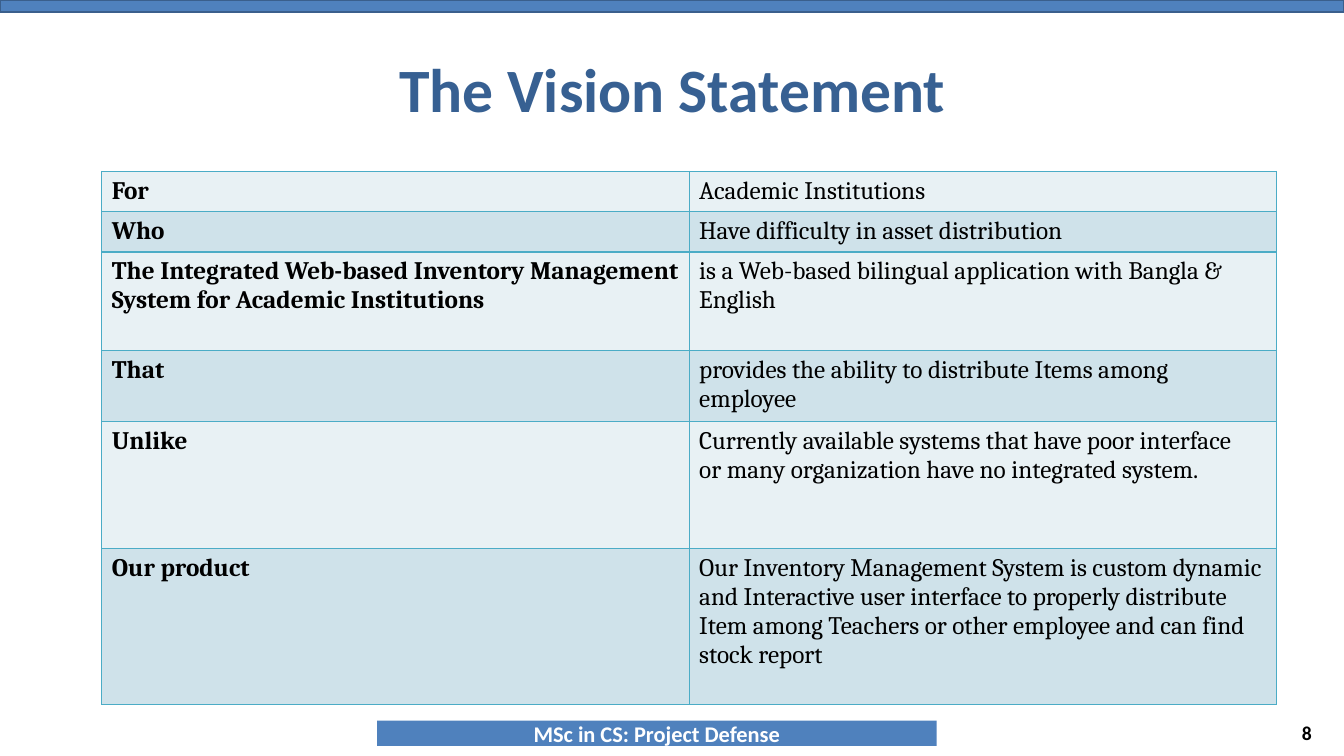
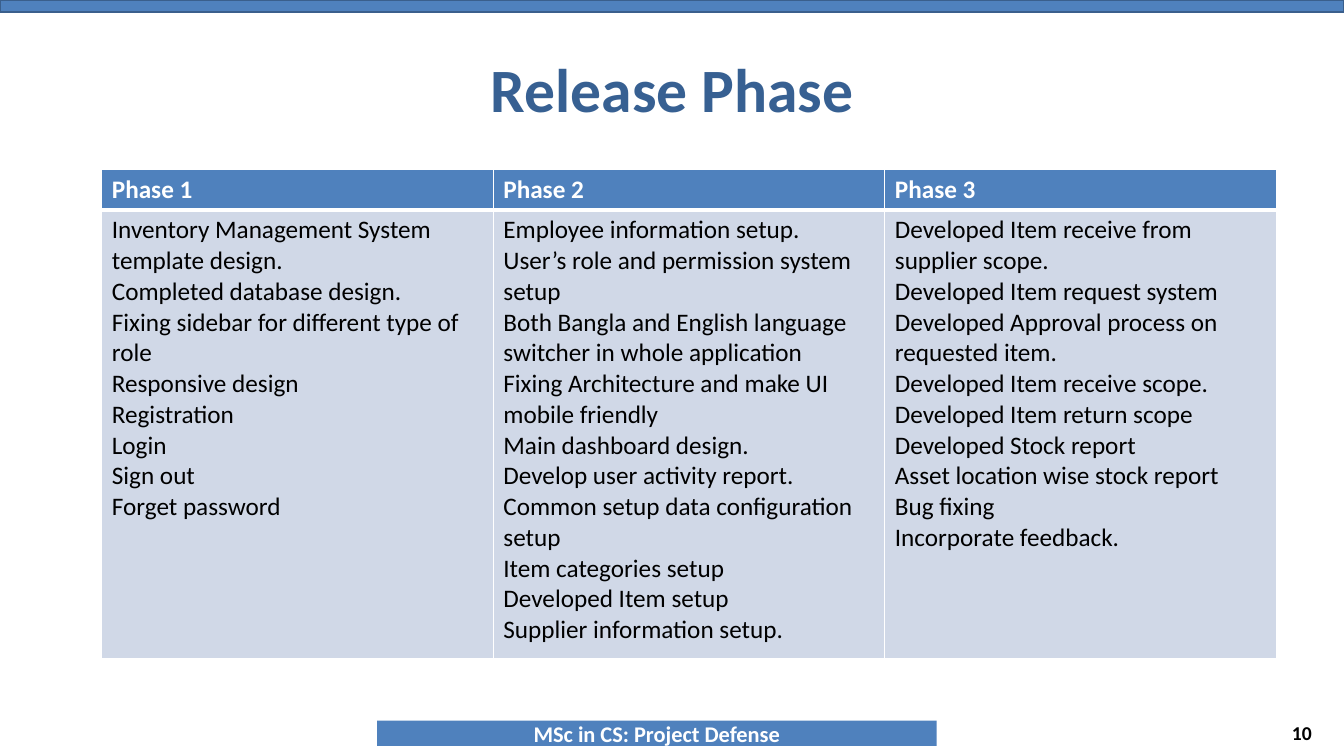
from pptx import Presentation
from pptx.dml.color import RGBColor
from pptx.enum.shapes import MSO_SHAPE as Shape
from pptx.enum.text import MSO_ANCHOR as Anchor, PP_ALIGN as Align
from pptx.oxml.ns import qn
from pptx.util import Inches, Pt
from lxml.etree import SubElement

COLORS = {
    "blue": "4F81BD",
    "blue_edge": "3A5F8C",
    "title": "376092",
    "teal_edge": "4BACC6",
    "teal_light": "E8F1F4",
    "teal_dark": "CFE2EA",
    "phase_body": "D0D8E7",
    "black": "000000",
    "white": "FFFFFF",
}
THIN, THICK = 0.96, 3

VISION = [
    (0.39, "For", ["Academic Institutions"]),
    (0.39, "Who", ["Have difficulty in asset distribution"]),
    (0.98, "The Integrated Web-based Inventory Management System for Academic Institutions",
     ["is a Web-based bilingual application with Bangla & English"]),
    (0.68, "That", ["provides the ability to distribute Items among employee"]),
    (1.26, "Unlike", ["Currently available systems that have poor interface",
                      "or many organization have no integrated system."]),
    (1.55, "Our product",
     ["Our Inventory Management System is custom dynamic and Interactive user interface "
      "to properly distribute Item among Teachers or other employee and can find stock report"]),
]

PHASES = {
    "Phase 1": [
        "Inventory Management System template design.",
        "Completed database design.",
        "Fixing sidebar for different type of role",
        "Responsive design",
        "Registration",
        "Login",
        "Sign out",
        "Forget password",
    ],
    "Phase 2": [
        "Employee information setup.",
        "User’s role and permission system setup",
        "Both Bangla and English language switcher in whole application",
        "Fixing Architecture and make UI mobile friendly",
        "Main dashboard design.",
        "Develop user activity report.",
        "Common setup data configuration setup",
        "Item categories setup",
        "Developed Item setup",
        "Supplier information setup.",
    ],
    "Phase 3": [
        "Developed Item receive from supplier scope.",
        "Developed Item request system",
        "Developed Approval process on requested item.",
        "Developed Item receive scope.",
        "Developed Item return scope",
        "Developed Stock report",
        "Asset location wise stock report",
        "Bug fixing",
        "Incorporate feedback.",
    ],
}


def rgb(name):
    return RGBColor.from_string(COLORS[name])


def write(frame, lines, size, color, bold=False, align=Align.LEFT, face="Calibri"):
    frame.word_wrap = True
    for index, line in enumerate(lines):
        para = frame.paragraphs[0] if index == 0 else frame.add_paragraph()
        para.text = line
        para.alignment = align
        para.font.size = Pt(size)
        para.font.name = face
        para.font.bold = bold
        para.font.color.rgb = rgb(color)


def add_band(page, box, edge=None):
    band = page.shapes.add_shape(Shape.RECTANGLE, *map(Inches, box))
    band.shadow.inherit = False
    band.fill.solid()
    band.fill.fore_color.rgb = rgb("blue")
    if edge:
        band.line.color.rgb = rgb(edge)
        band.line.width = Pt(2)
    else:
        band.line.fill.background()
    return band


def add_label(page, box, text, size, color, align):
    frame = page.shapes.add_textbox(*map(Inches, box)).text_frame
    frame.vertical_anchor = Anchor.MIDDLE
    write(frame, [text], size, color, True, align)


def add_page(deck, title, number):
    page = deck.slides.add_slide(deck.slide_layouts[6])
    add_band(page, (0, 0, 13.33, 0.12), "blue_edge")
    footer = add_band(page, (3.74, 7.15, 5.55, 0.25)).text_frame
    footer.vertical_anchor = Anchor.MIDDLE
    write(footer, ["MSc in CS: Project Defense"], 16, "white", True, Align.CENTER)
    add_label(page, (0.67, 0.25, 12, 1.25), title, 44, "title", Align.CENTER)
    add_label(page, (10, 7.07, 3.11, 0.4), str(number), 14, "black", Align.RIGHT)
    return page


def add_grid(page, box, heights, columns):
    table = page.shapes.add_table(len(heights), columns, *map(Inches, box)).table
    table.first_row = False
    table.horz_banding = False
    for column in table.columns:
        column.width = Inches(box[2] / columns)
    for row, height in zip(table.rows, heights):
        row.height = Inches(height)
    return table


def style_cell(cell, fill, edge, top=THIN, bottom=THIN):
    properties = cell._tc.get_or_add_tcPr()
    for side, width in zip("LRTB", (THIN, THIN, top, bottom)):
        line = SubElement(properties, qn(f"a:ln{side}"), w=str(Pt(width)))
        solid = SubElement(line, qn("a:solidFill"))
        SubElement(solid, qn("a:srgbClr"), val=COLORS[edge])
    cell.fill.solid()
    cell.fill.fore_color.rgb = rgb(fill)


def add_vision_table(page, box):
    table = add_grid(page, box, [height for height, _, _ in VISION], 2)
    for row, (_, term, lines) in enumerate(VISION):
        fill = "teal_dark" if row % 2 else "teal_light"
        for column, content in enumerate(([term], lines)):
            cell = table.cell(row, column)
            style_cell(cell, fill, "teal_edge")
            write(cell.text_frame, content, 18, "black", column == 0, face="Cambria")


def add_phase_table(page, box):
    header_height = 0.39
    table = add_grid(page, box, [header_height, box[3] - header_height], len(PHASES))
    for column, (phase, tasks) in enumerate(PHASES.items()):
        header, body = table.cell(0, column), table.cell(1, column)
        style_cell(header, "blue", "white", bottom=THICK)
        write(header.text_frame, [phase], 18, "white", True)
        style_cell(body, "phase_body", "white", top=THICK)
        write(body.text_frame, tasks, 18, "black")


def main():
    deck = Presentation()
    deck.slide_width, deck.slide_height = Inches(13.33), Inches(7.5)
    add_vision_table(add_page(deck, "The Vision Statement", 8), (1.01, 1.7, 11.65, 5.26))
    add_phase_table(add_page(deck, "Release Phase", 10), (1.01, 1.68, 11.65, 4.84))
    deck.save("out.pptx")


if __name__ == "__main__":
    main()
